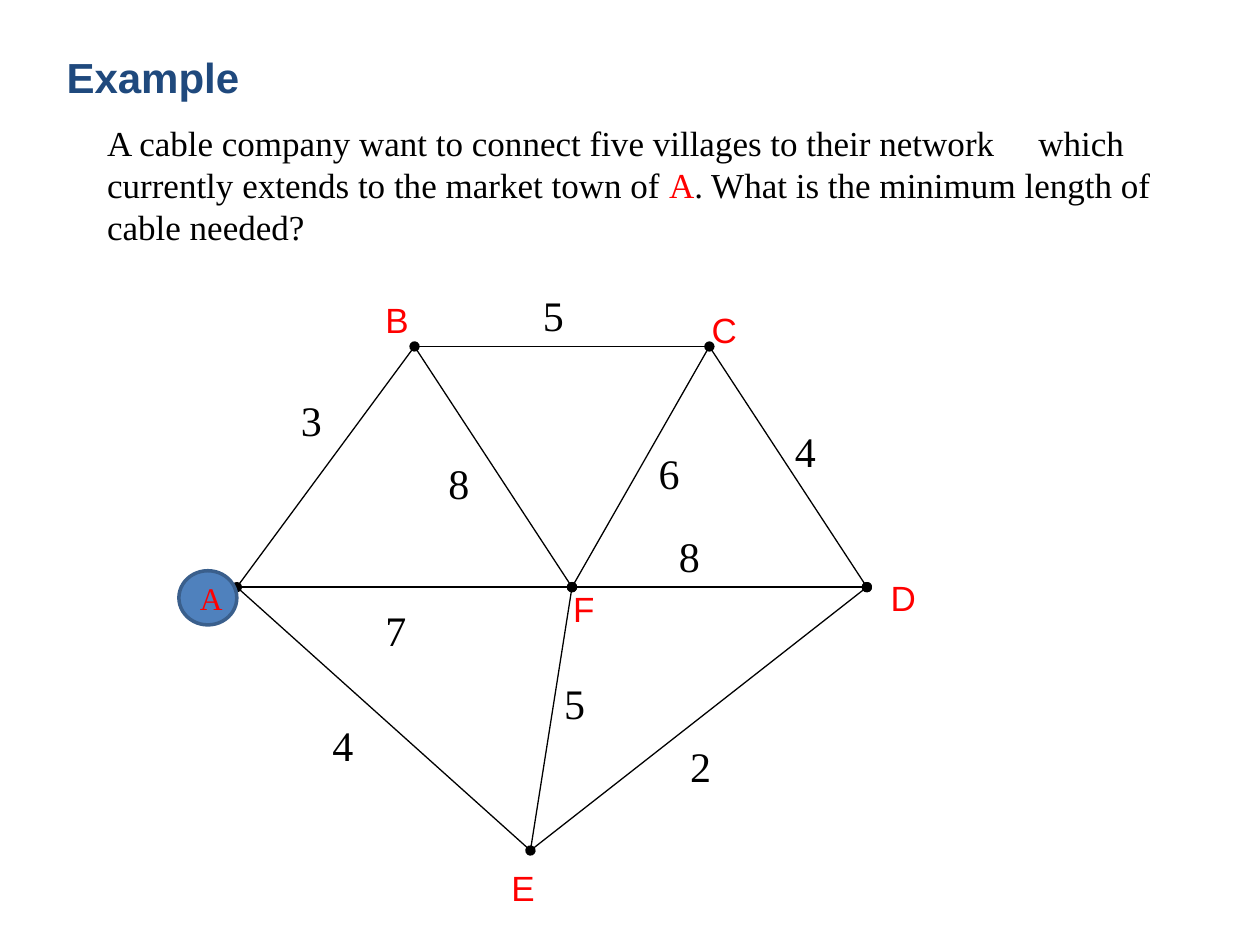
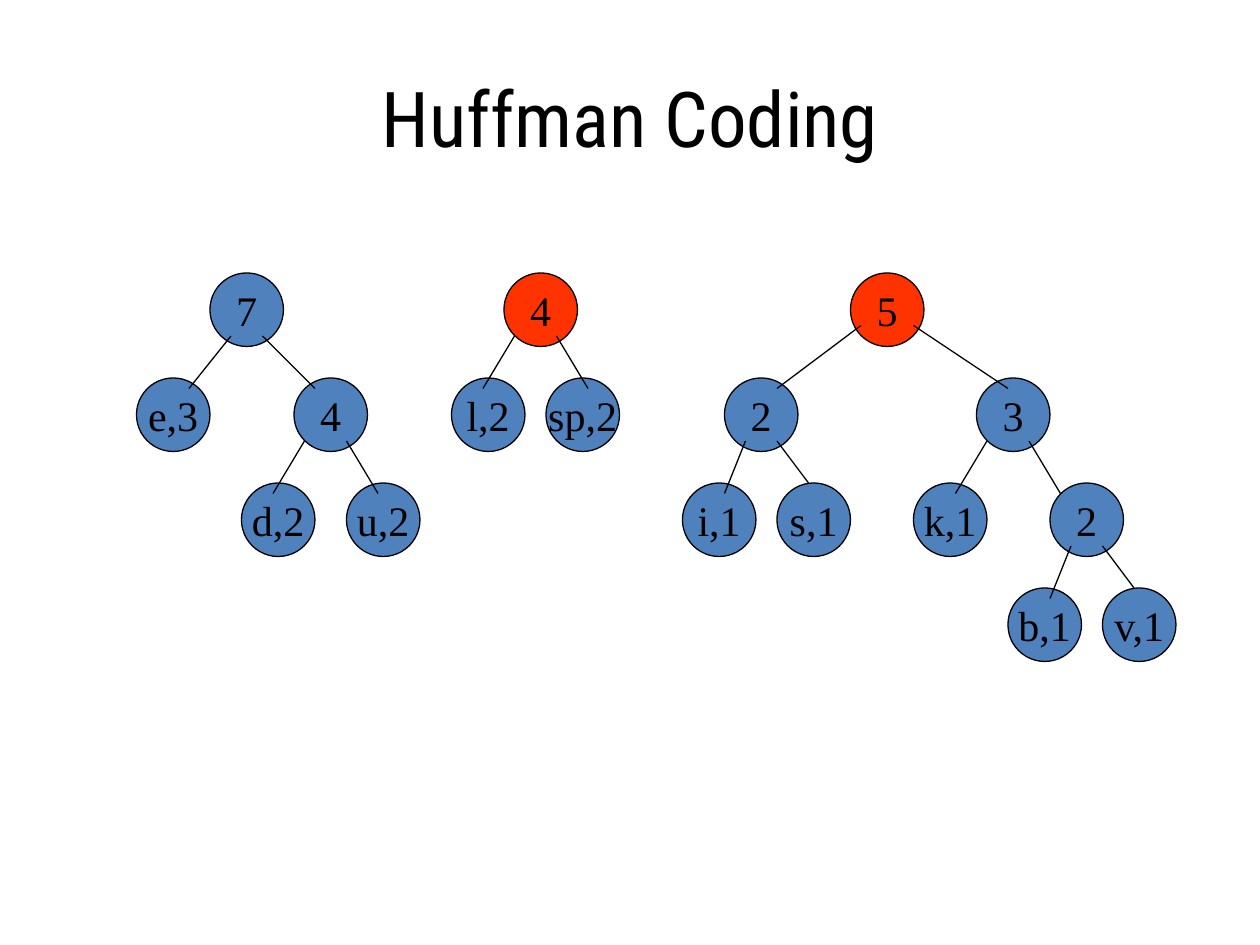
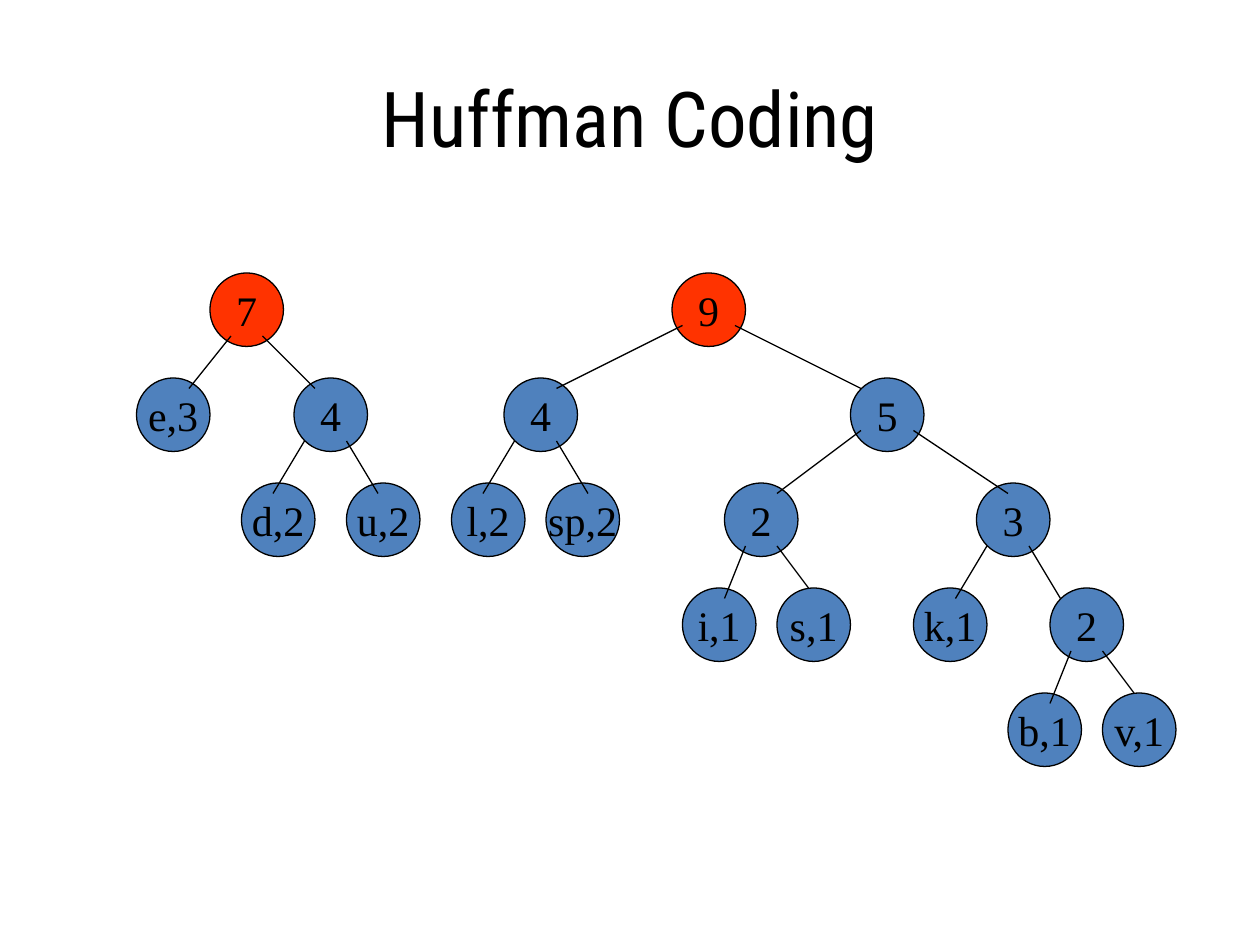
from dataclasses import dataclass
from typing import NamedTuple

from lxml.etree import SubElement
from pptx import Presentation
from pptx.dml.color import RGBColor
from pptx.enum.shapes import MSO_CONNECTOR, MSO_SHAPE
from pptx.enum.text import MSO_ANCHOR as Anchor, MSO_AUTO_SIZE as AutoSize, PP_ALIGN as Align
from pptx.oxml.ns import qn
from pptx.util import Inches, Pt


@dataclass(frozen=True)
class Theme:
    """Colours, fonts and type sizes of the deck."""
    ink: str = "000000"
    heading: str = "1F497D"
    accent: str = "FF0000"
    node: str = "4F81BD"
    node_edge: str = "3A5F8C"
    picked: str = "FF3300"
    serif: str = "Times New Roman"
    sans: str = "Arial"
    display: str = "Roboto Condensed"
    title_size: int = 44
    label_size: int = 24
    body_size: int = 20
    town_size: int = 18
    hairline: float = 0.75


class Box(NamedTuple):
    """Left, top, width and height in inches."""
    left: float
    top: float
    width: float
    height: float


class Point(NamedTuple):
    """A place on the slide, or an offset, as x and y."""
    x: float
    y: float


@dataclass(frozen=True)
class Edge:
    """A cable route with its length and the villages it dots."""
    start: str
    end: str
    length: str
    label_at: Point
    dots: tuple[str, ...] = ()


@dataclass(frozen=True)
class Node:
    """A Huffman tree node; left is in grid units."""
    label: str
    left: int
    branches: tuple["Branch", ...] = ()


@dataclass(frozen=True)
class Branch:
    """A child with the line's offsets in the parent and in the child."""
    child: Node
    start: Point
    end: Point


THEME = Theme()
GRID = 1 / 12  # inches per unit of the tree grid
DIAMETER, TREE_TOP, LEVEL_STEP = 7, 26, 10


def set_all(target, values: dict) -> None:
    """Set each named attribute of the target."""
    for name, value in values.items():
        setattr(target, name, value)


def add_run(paragraph, text: str, font: str, size: float, color: str, bold: bool = False) -> None:
    """Append a formatted run."""
    run = paragraph.add_run()
    run.text = text
    set_all(run.font, {"name": font, "size": Pt(size), "bold": bold})
    run.font.color.rgb = RGBColor.from_string(color)


def place(shape, box: Box) -> None:
    """Move and size a shape."""
    set_all(shape, {name: Inches(value) for name, value in box._asdict().items()})


def add_title(slide, box: Box, align: Align):
    """Place the title placeholder and return its paragraph."""
    title = slide.shapes.title
    place(title, box)
    set_all(title.text_frame, {"vertical_anchor": Anchor.MIDDLE, "auto_size": AutoSize.NONE,
                               "word_wrap": True})
    paragraph = title.text_frame.paragraphs[0]
    paragraph.alignment = align
    return paragraph


def add_label(slide, box: Box, text: str, font: str, size: float, color: str,
              bold: bool = False, wrap: bool = True) -> None:
    """Add a text box holding one run."""
    frame = slide.shapes.add_textbox(*map(Inches, box)).text_frame
    set_all(frame, {"word_wrap": wrap, "auto_size": AutoSize.SHAPE_TO_FIT_TEXT})
    add_run(frame.paragraphs[0], text, font, size, color, bold)


def add_line(slide, start: Point, end: Point, head: bool = False, tail: bool = False) -> None:
    """Draw a thin line, dotted at the chosen ends."""
    line = slide.shapes.add_connector(MSO_CONNECTOR.STRAIGHT, *map(Inches, (*start, *end)))
    line.line.color.rgb = RGBColor.from_string(THEME.ink)
    line.line.width = Pt(THEME.hairline)
    properties = line._element.spPr
    for tag, dotted in (("a:headEnd", head), ("a:tailEnd", tail)):
        if dotted:
            SubElement(properties.find(qn("a:ln")), qn(tag), type="oval")
    SubElement(properties, qn("a:effectLst"))


def add_disc(slide, box: Box, text: str, size: float, color: str, fill: str,
             edge: str, edge_width: float, wrap: bool) -> None:
    """Draw an ellipse with centred text."""
    disc = slide.shapes.add_shape(MSO_SHAPE.OVAL, *map(Inches, box))
    disc.shadow.inherit = False
    disc.fill.solid()
    disc.fill.fore_color.rgb = RGBColor.from_string(fill)
    disc.line.color.rgb = RGBColor.from_string(edge)
    disc.line.width = Pt(edge_width)
    set_all(disc.text_frame, {"word_wrap": wrap, "vertical_anchor": Anchor.MIDDLE})
    paragraph = disc.text_frame.paragraphs[0]
    paragraph.alignment = Align.CENTER
    add_run(paragraph, text, THEME.serif, size, color)


VILLAGES = {"A": Point(1.88, 4.66), "B": Point(3.29, 2.75), "C": Point(5.63, 2.75),
            "D": Point(6.88, 4.66), "E": Point(4.21, 6.75), "F": Point(4.54, 4.66)}
VILLAGE_LABELS = {"F": Box(4.45, 4.61, 1.16, 0.43), "B": Box(2.96, 2.32, 0.42, 0.43),
                  "C": Box(5.55, 2.4, 1.42, 0.43), "D": Box(6.97, 4.53, 1.35, 0.43),
                  "E": Box(3.96, 6.83, 1.04, 0.43)}
EDGES = (
    Edge("A", "B", "3", Point(2.29, 3.08), ("A", "B")),
    Edge("B", "C", "5", Point(4.21, 2.25), ("C",)),
    Edge("C", "D", "4", Point(6.21, 3.33), ("D",)),
    Edge("A", "F", "7", Point(2.96, 4.75)),
    Edge("F", "D", "8", Point(5.29, 4.16)),
    Edge("B", "F", "8", Point(3.46, 3.58), ("F",)),
    Edge("F", "C", "6", Point(5.13, 3.5)),
    Edge("A", "E", "4", Point(2.54, 5.66)),
    Edge("E", "F", "5", Point(4.38, 5.33), ("E", "F")),
    Edge("E", "D", "2", Point(5.38, 5.83), ("D",)),
)


def build_network(deck) -> None:
    """Build the cable network example."""
    slide = deck.slides.add_slide(deck.slide_layouts[5])
    question = add_title(slide, Box(0.75, 0.84, 8.5, 1.25), Align.LEFT)
    tabs = SubElement(question._p.get_or_add_pPr(), qn("a:tabLst"))
    SubElement(tabs, qn("a:tab"), pos=str(Inches(7.39)), algn="l")
    for text, color in (
        ("A cable company want to connect five villages to their network\twhich "
         "currently extends to the market town of ", THEME.ink),
        ("A", THEME.accent),
        (". What is the minimum length of cable needed?", THEME.ink),
    ):
        add_run(question, text, THEME.serif, THEME.body_size, color)
    for edge in EDGES:
        add_line(slide, VILLAGES[edge.start], VILLAGES[edge.end],
                 edge.start in edge.dots, edge.end in edge.dots)
    for village, box in VILLAGE_LABELS.items():
        add_label(slide, box, village, THEME.sans, THEME.body_size, THEME.accent)
    for edge in EDGES:
        add_label(slide, Box(*edge.label_at, 0.5, 0.5), edge.length,
                  THEME.serif, THEME.label_size, THEME.ink)
    add_label(slide, Box(0.43, 0.36, 1.57, 0.5), "Example", THEME.sans,
              THEME.label_size, THEME.heading, bold=True, wrap=False)
    add_disc(slide, Box(1.42, 4.53, 0.46, 0.43), "A", THEME.town_size, THEME.accent,
             THEME.node, THEME.node_edge, 2, wrap=True)


# Where a line leaves its parent
STEEP_LEFT, LEFT, RIGHT = Point(2, 6), Point(1, 6), Point(5, 6)
WIDE_LEFT, WIDE_RIGHT = Point(1, 5), Point(6, 5)


def pair(label: str, left: int, first: Branch, second: Branch) -> Node:
    """Join two branches under a node."""
    return Node(label, left, (first, second))


DU = pair("4", 28, Branch(Node("d,2", 23), LEFT, Point(3, 1)),
          Branch(Node("u,2", 33), RIGHT, Point(3, 1)))
SEVEN = pair("7", 20, Branch(Node("e,3", 13), STEEP_LEFT, Point(5, 1)),
             Branch(DU, RIGHT, Point(2, 1)))
FOUR = pair("4", 48, Branch(Node("l,2", 43), LEFT, Point(3, 1)),
            Branch(Node("sp,2", 52), RIGHT, Point(4, 1)))
IS = pair("2", 69, Branch(Node("i,1", 65), STEEP_LEFT, Point(4, 1)),
          Branch(Node("s,1", 74), RIGHT, Point(3, 0)))
BV = pair("2", 100, Branch(Node("b,1", 96), STEEP_LEFT, Point(4, 1)),
          Branch(Node("v,1", 105), RIGHT, Point(3, 0)))
KBV = pair("3", 93, Branch(Node("k,1", 87), LEFT, Point(4, 1)),
           Branch(BV, RIGHT, Point(1, 1)))
FIVE = pair("5", 81, Branch(IS, WIDE_LEFT, Point(5, 1)),
            Branch(KBV, WIDE_RIGHT, Point(3, 1)))
NINE = pair("9", 64, Branch(FOUR, WIDE_LEFT, Point(5, 1)),
            Branch(FIVE, WIDE_RIGHT, Point(1, 1)))


def grid_point(node: Node, level: int, offset: Point) -> Point:
    """Return a place in a node, in inches."""
    return Point((node.left + offset.x) * GRID,
                 (TREE_TOP + level * LEVEL_STEP + offset.y) * GRID)


def draw_tree(slide, node: Node, picked: tuple[Node, ...], level: int = 0) -> None:
    """Draw the subtrees, then the node and its branch lines."""
    for branch in node.branches:
        draw_tree(slide, branch.child, picked, level + 1)
    corner = grid_point(node, level, Point(0, 0))
    add_disc(slide, Box(*corner, DIAMETER * GRID, DIAMETER * GRID), node.label,
             THEME.label_size, THEME.ink, THEME.picked if node in picked else THEME.node,
             THEME.ink, THEME.hairline, wrap=False)
    for branch in node.branches:
        add_line(slide, grid_point(node, level, branch.start),
                 grid_point(branch.child, level + 1, branch.end))


def build_huffman(deck, trees: tuple[Node, ...], picked: tuple[Node, ...]) -> None:
    """Build one step of the Huffman merge."""
    slide = deck.slides.add_slide(deck.slide_layouts[5])
    heading = add_title(slide, Box(0.5, 0.3, 9, 1.25), Align.CENTER)
    add_run(heading, "Huffman Coding", THEME.display, THEME.title_size, THEME.ink)
    for tree in trees:
        draw_tree(slide, tree, picked)


def main() -> None:
    """Build and save the deck."""
    deck = Presentation()
    set_all(deck, {"slide_width": Inches(10), "slide_height": Inches(7.5)})
    build_network(deck)
    build_huffman(deck, (SEVEN, FOUR, FIVE), picked=(FOUR, FIVE))
    build_huffman(deck, (SEVEN, NINE), picked=(SEVEN, NINE))
    deck.save("out.pptx")


main()
